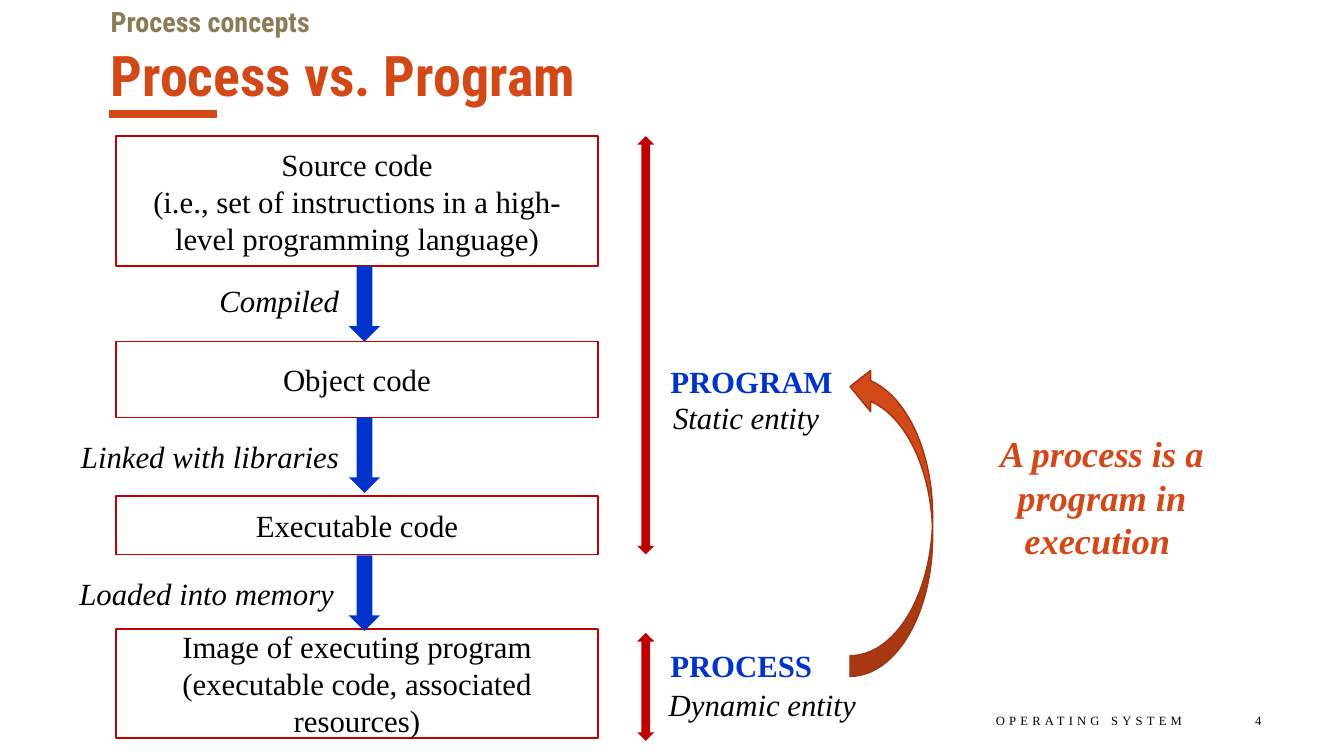
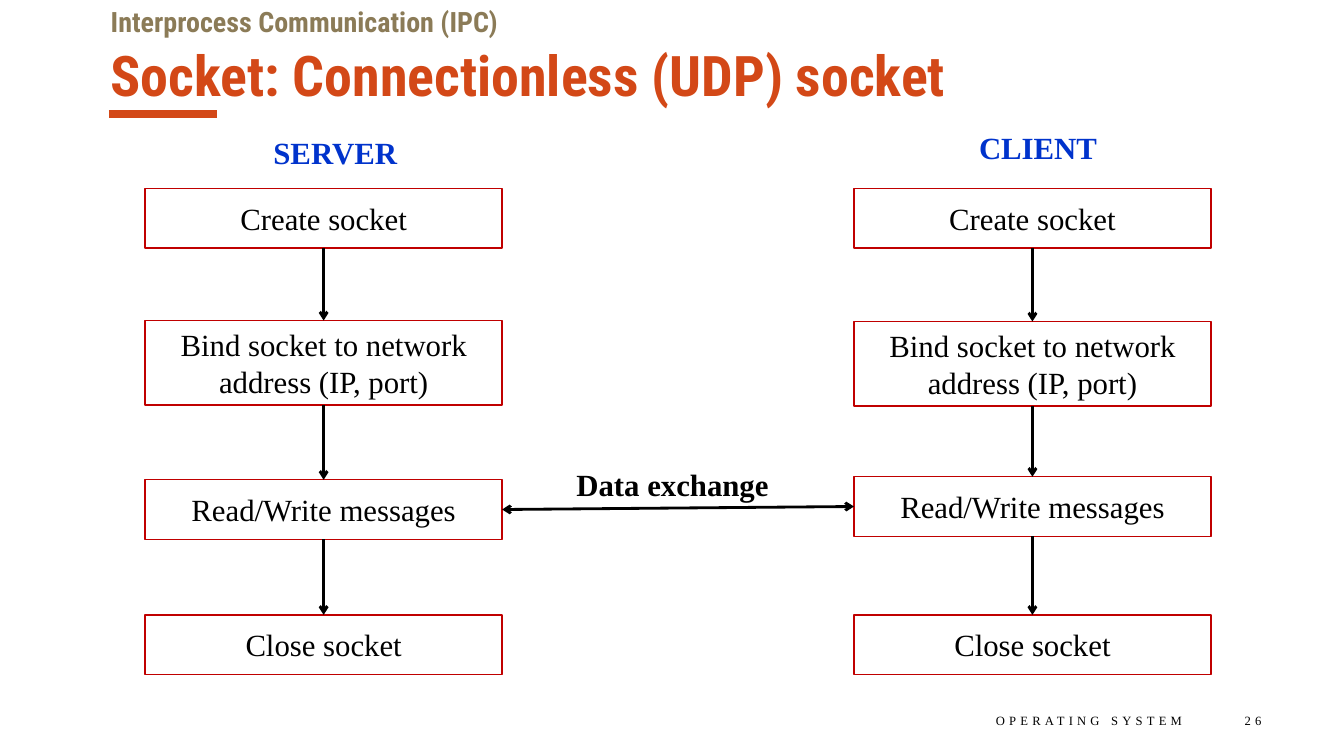
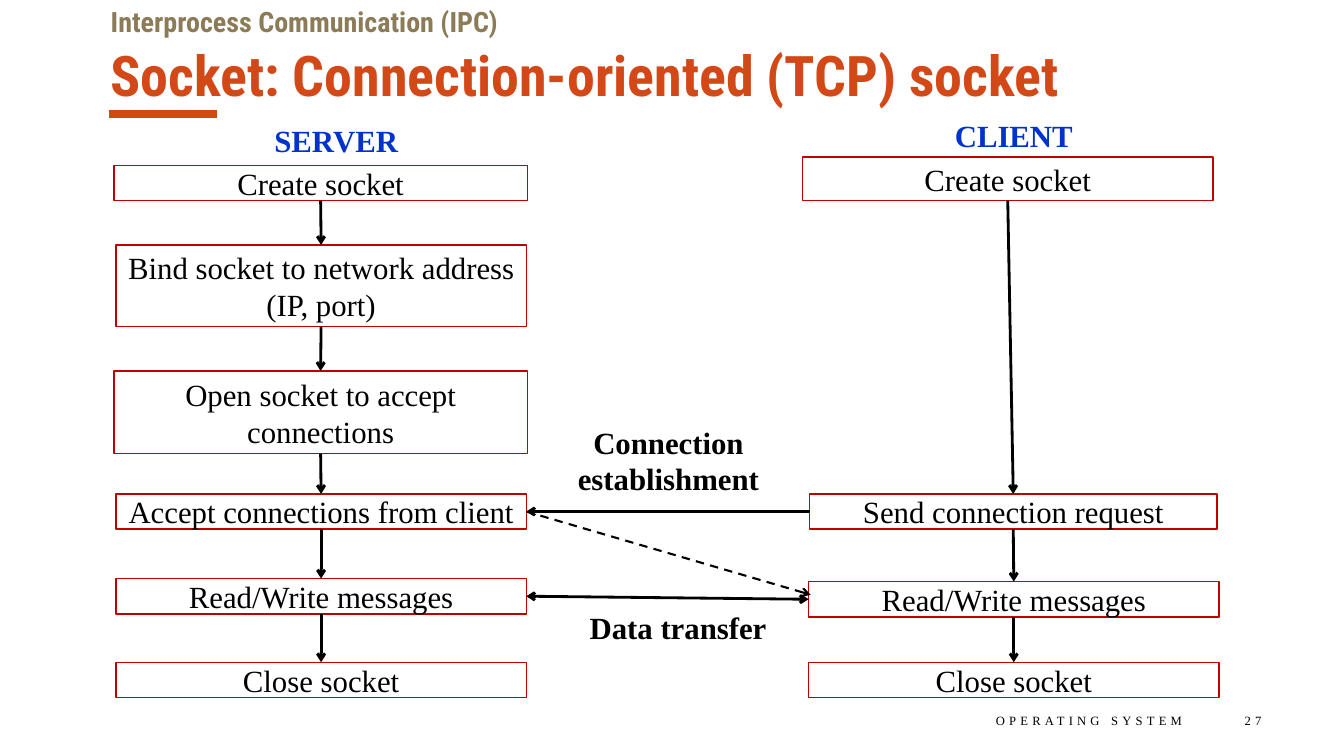
from lxml import etree
from pptx import Presentation
from pptx.dml.color import RGBColor
from pptx.enum.dml import MSO_LINE
from pptx.enum.shapes import MSO_CONNECTOR, MSO_SHAPE
from pptx.enum.text import MSO_ANCHOR, PP_ALIGN
from pptx.oxml.ns import qn
from pptx.util import Inches, Pt

RECT = MSO_SHAPE.RECTANGLE
DOWN_ARROW = MSO_SHAPE.DOWN_ARROW
UP_DOWN_ARROW = MSO_SHAPE.UP_DOWN_ARROW
CURVED_ARROW = MSO_SHAPE.CURVED_RIGHT_ARROW
STRAIGHT = MSO_CONNECTOR.STRAIGHT
DASH = MSO_LINE.DASH
TOP_ANCHOR, MIDDLE = MSO_ANCHOR.TOP, MSO_ANCHOR.MIDDLE
LEFT_ALIGN, CENTER, RIGHT_ALIGN = PP_ALIGN.LEFT, PP_ALIGN.CENTER, PP_ALIGN.RIGHT
TOP, LEFT, BOTTOM, RIGHT = range(4)

ORANGE, DARK_ORANGE, TAN = "D34817", "9C3511", "8B7B57"
RED, BLUE, BLACK, WHITE = "C00000", "0033CC", "000000", "FFFFFF"
HEAD_FONT, BODY_FONT = "Roboto Condensed", "Times New Roman"
BODY_SIZE = 22


def rgb(value):
    return RGBColor.from_string(value)


def write(tf, lines, size=BODY_SIZE, color=BLACK, font=BODY_FONT, bold=False,
          italic=False, align=LEFT_ALIGN, anchor=MIDDLE, spacing=0):
    """Fill a text frame, one paragraph per line; spacing is in points."""
    tf.word_wrap = True
    tf.vertical_anchor = anchor
    for i, line in enumerate(lines.split("\n")):
        p = tf.add_paragraph() if i else tf.paragraphs[0]
        p.alignment = align
        r = p.add_run()
        r.text = line
        r.font.name = font
        r.font.size = Pt(size)
        r.font.bold = bold
        r.font.italic = italic
        r.font.color.rgb = rgb(color)
        if spacing:
            r.font._element.set("spc", str(spacing * 100))


def label(s, at, text, **style):
    sp = s.shapes.add_textbox(*map(Inches, at))
    write(sp.text_frame, text, **style)


def shape(s, kind, at, fill=None, line=None):
    sp = s.shapes.add_shape(kind, *map(Inches, at))
    sp.shadow.inherit = False
    if fill:
        sp.fill.solid()
        sp.fill.fore_color.rgb = rgb(fill)
    else:
        sp.fill.background()
    if line:
        sp.line.color.rgb = rgb(line)
        sp.line.width = Pt(1)
    else:
        sp.line.fill.background()
    return sp


def box(s, at, text, fill=WHITE):
    sp = shape(s, RECT, at, fill, RED)
    write(sp.text_frame, text, align=CENTER)
    return sp


def connector(s, start=(0, 0), end=(0, 0), color=BLACK, width=2, head=False, tail=False):
    """Draw a line; head and tail put an arrowhead at its start and end."""
    c = s.shapes.add_connector(STRAIGHT, *map(Inches, (*start, *end)))
    c.line.color.rgb = rgb(color)
    c.line.width = Pt(width)
    ln = c.line._get_or_add_ln()
    for tag, wanted in (("a:headEnd", head), ("a:tailEnd", tail)):
        if wanted:
            etree.SubElement(ln, qn(tag)).set("type", "arrow")
    etree.SubElement(c._element.spPr, qn("a:effectLst"))
    return c


def join(s, first, side, second, other_side, head=False, tail=True):
    c = connector(s, head=head, tail=tail)
    c.begin_connect(first, side)
    c.end_connect(second, other_side)


def flow(s, steps):
    """Stack boxes and join each one to the next."""
    boxes = [box(s, at, text) for at, text in steps]
    for upper, lower in zip(boxes, boxes[1:]):
        join(s, upper, BOTTOM, lower, TOP)
    return boxes


def column_heads(s, server_at, client_at):
    for (left, top), text in ((server_at, "SERVER"), (client_at, "CLIENT")):
        label(s, (left, top, 3.05, 0.47), text, color=BLUE, bold=True,
              align=CENTER, anchor=TOP_ANCHOR)


def new_slide(prs, topic, title, number):
    s = prs.slides.add_slide(prs.slide_layouts[6])
    connector(s, (1.08, 1.13), (2.15, 1.13), ORANGE, 6)
    heading = dict(font=HEAD_FONT, bold=True, anchor=TOP_ANCHOR)
    label(s, (1, 0.35, 11.33, 0.61), title, size=40, color=ORANGE, **heading)
    label(s, (1, 0, 11.33, 0.4), topic, size=20, color=TAN, **heading)
    footer = dict(size=9, align=RIGHT_ALIGN, spacing=3)
    label(s, (7.4, 6.95, 4.42, 0.4), "OPERATING SYSTEM", **footer)
    label(s, (11.82, 6.95, 0.79, 0.4), str(number), **footer)
    return s


def process_slide(prs):
    s = new_slide(prs, "Process concepts", "Process vs. Program", 4)
    for top, height, text in (
        (1.35, 1.29, "Source code\n(i.e., set of instructions in a high-level programming language)"),
        (3.39, 0.75, "Object code"),
        (4.92, 0.58, "Executable code"),
        (6.24, 1.08, "Image of executing program (executable code, associated resources)"),
    ):
        box(s, (1.15, top, 4.78, height), text, fill=None)

    for arrow_top, at, text in (
        (2.64, (1.27, 2.6, 2.19, 0.75), "Compiled"),
        (4.14, (0.43, 4.24, 3.03, 0.58), "Linked with libraries"),
        (5.51, (-0.69, 5.59, 4.1, 0.58), "Loaded into memory"),
    ):
        shape(s, DOWN_ARROW, (3.46, arrow_top, 0.31, 0.75), BLUE)
        label(s, at, text, italic=True, align=RIGHT_ALIGN)

    for top, height, name_top, name, kind_at, kind in (
        (1.35, 4.15, 3.41, "PROGRAM", (6.36, 3.76, 2.08, 0.75), "Static entity"),
        (6.28, 1.07, 6.22, "PROCESS", (6.49, 6.61, 2.14, 0.75), "Dynamic entity"),
    ):
        shape(s, UP_DOWN_ARROW, (6.32, top, 0.17, height), RED)
        label(s, (6.55, name_top, 2.34, 0.75), name, color=BLUE, bold=True)
        label(s, kind_at, kind, italic=True, align=CENTER)

    shape(s, CURVED_ARROW, (8.43, 3.63, 0.82, 3.08), ORANGE, DARK_ORANGE).rotation = 180
    label(s, (9.25, 4.55, 3.36, 0.75), "A process is a program in execution ",
          size=26, color=ORANGE, bold=True, italic=True, align=CENTER)


def udp_slide(prs):
    s = new_slide(prs, "Interprocess Communication (IPC)",
                  "Socket: Connectionless (UDP) socket", 26)
    column_heads(s, (1.8, 1.28), (8.77, 1.23))
    exchange = []
    for left, bind_top, message_top in ((1.44, 3.18, 4.76), (8.47, 3.19, 4.73)):
        boxes = flow(s, [((left, top, 3.54, height), text) for top, height, text in (
            (1.87, 0.59, "Create socket"),
            (bind_top, 0.84, "Bind socket to network address (IP, port)"),
            (message_top, 0.59, "Read/Write messages"),
            (6.1, 0.59, "Close socket"),
        )])
        exchange.append(boxes[2])
    server, client = exchange
    join(s, server, RIGHT, client, LEFT, head=True)
    label(s, (4.9, 4.57, 3.54, 0.47), "Data exchange", bold=True,
          align=CENTER, anchor=TOP_ANCHOR)


def tcp_slide(prs):
    s = new_slide(prs, "Interprocess Communication (IPC)",
                  "Socket: Connection-oriented (TCP) socket", 27)
    column_heads(s, (1.81, 1.16), (8.53, 1.11))
    _, _, _, accept, server_messages, _ = flow(s, (
        ((1.13, 1.64, 4.1, 0.35), "Create socket"),
        ((1.15, 2.43, 4.07, 0.81), "Bind socket to network address\n(IP, port)"),
        ((1.13, 3.68, 4.1, 0.82), "Open socket to accept connections"),
        ((1.15, 4.9, 4.07, 0.35), "Accept connections from client"),
        ((1.15, 5.74, 4.07, 0.35), "Read/Write messages"),
        ((1.15, 6.57, 4.07, 0.35), "Close socket"),
    ))
    _, request, client_messages, _ = flow(s, (
        ((7.96, 1.56, 4.07, 0.43), "Create socket"),
        ((8.03, 4.9, 4.04, 0.35), "Send connection request"),
        ((8.02, 5.77, 4.07, 0.35), "Read/Write messages"),
        ((8.02, 6.57, 4.07, 0.35), "Close socket"),
    ))
    join(s, accept, RIGHT, request, LEFT, head=True, tail=False)
    join(s, client_messages, LEFT, server_messages, RIGHT, head=True)
    reply = connector(s, (5.22, 5.08), (8.04, 5.9), width=1.5, tail=True)
    reply.line.dash_style = DASH
    reply.begin_connect(accept, RIGHT)
    for at, text in (
        ((5.3, 4.15, 2.66, 0.84), "Connection establishment"),
        ((5.42, 5.99, 2.61, 0.47), "Data transfer"),
    ):
        label(s, at, text, bold=True, align=CENTER, anchor=TOP_ANCHOR)


def main():
    prs = Presentation()
    prs.slide_width, prs.slide_height = Inches(13.33), Inches(7.5)
    process_slide(prs)
    udp_slide(prs)
    tcp_slide(prs)
    prs.save("out.pptx")


if __name__ == "__main__":
    main()
